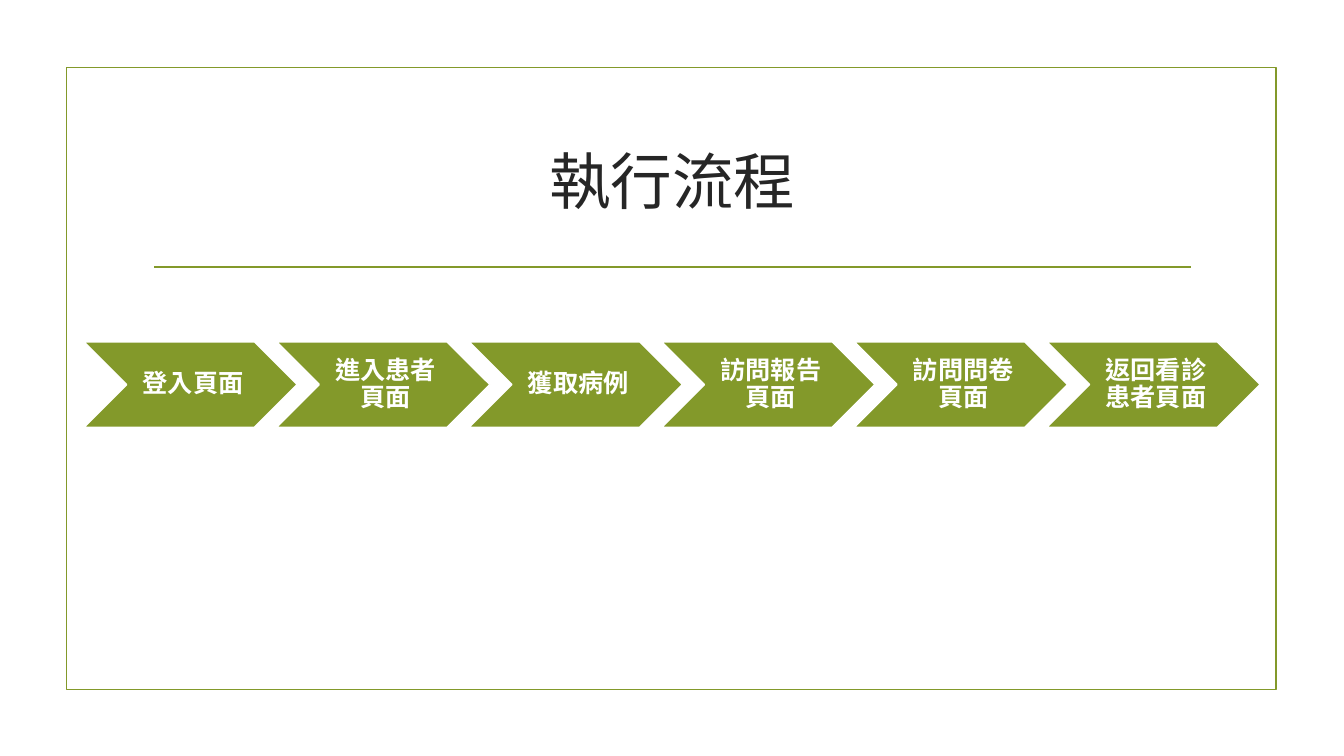
"""Build the process flow slide."""
import pptx
import pptx.dml.color
import pptx.enum.shapes
import pptx.enum.text
import pptx.oxml
import pptx.oxml.ns
import pptx.util
from pptx.util import Inches

TITLE = "執行流程"
STEPS = ["登入頁面", "進入患者頁面", "獲取病例", "訪問報告頁面", "訪問問卷頁面", "返回看診患者頁面"]
HUES = {"green": "83992A", "dark": "262626", "white": "FFFFFF"}
SANS = "Noto Sans CJK SC"
LEFT, TOP, WIDE, HIGH, PITCH = 0.83, 3.39, 2.12, 0.85, 1.91
HEAD = {"size": pptx.util.Pt(44), "name": "Times New Roman", "bold": False}
STEP = {"size": pptx.util.Pt(18), "name": SANS, "bold": True}
INSET = {"margin_left": 0.08, "margin_top": 0.03, "margin_right": 0.03, "margin_bottom": 0.03}
KIND = pptx.enum.shapes.MSO_SHAPE


def color(name):
    return pptx.dml.color.RGBColor.from_string(HUES[name])


def stroke(item, hue):
    item.line.color.rgb = color(hue)
    item.line.width = pptx.util.Pt(1.25)


def write(shape, text, form, hue, space=1.0):
    frame = shape.text_frame
    frame.word_wrap = True
    frame.vertical_anchor = pptx.enum.text.MSO_ANCHOR.MIDDLE
    para = frame.paragraphs[0]
    para.alignment = pptx.enum.text.PP_ALIGN.CENTER
    para.line_spacing = space
    run = para.add_run()
    run.text = text
    for key, value in form.items():
        setattr(run.font, key, value)
    run.font.color.rgb = color(hue)
    props = run._r.get_or_add_rPr()
    props.set("lang", "zh-TW")
    east = pptx.oxml.parse_xml(f'<a:ea {pptx.oxml.ns.nsdecls("a")} typeface="{SANS}"/>')
    props.find(pptx.oxml.ns.qn("a:latin")).addnext(east)


def add(slide, kind, spot, hue):
    shape = slide.shapes.add_shape(kind, *map(Inches, spot))
    shape.shadow.inherit = False
    stroke(shape, hue)
    return shape


def main():
    deck = pptx.Presentation()
    deck.slide_width, deck.slide_height = Inches(13.33), Inches(7.5)
    slide = deck.slides.add_slide(deck.slide_layouts[6])

    border = add(slide, KIND.RECTANGLE, (0.66, 0.67, 12, 6.17), "green")
    border.fill.background()

    rule = slide.shapes.add_connector(
        pptx.enum.shapes.MSO_CONNECTOR.STRAIGHT, *map(Inches, (1.53, 2.65, 11.81, 2.65)))
    stroke(rule, "green")
    rule._element.spPr.append(
        pptx.oxml.parse_xml(f'<a:effectLst {pptx.oxml.ns.nsdecls("a")}/>'))

    title = slide.shapes.add_textbox(*map(Inches, (1.42, 1.07, 10.5, 1.43)))
    write(title, TITLE, HEAD, "dark")

    for i, text in enumerate(STEPS):
        step = add(slide, KIND.CHEVRON, (LEFT + i * PITCH, TOP, WIDE, HIGH), "white")
        step.fill.solid()
        step.fill.fore_color.rgb = color("green")
        for key, value in INSET.items():
            setattr(step.text_frame, key, Inches(value))
        write(step, text, STEP, "white", 0.9)

    deck.save("out.pptx")


if __name__ == "__main__":
    main()
